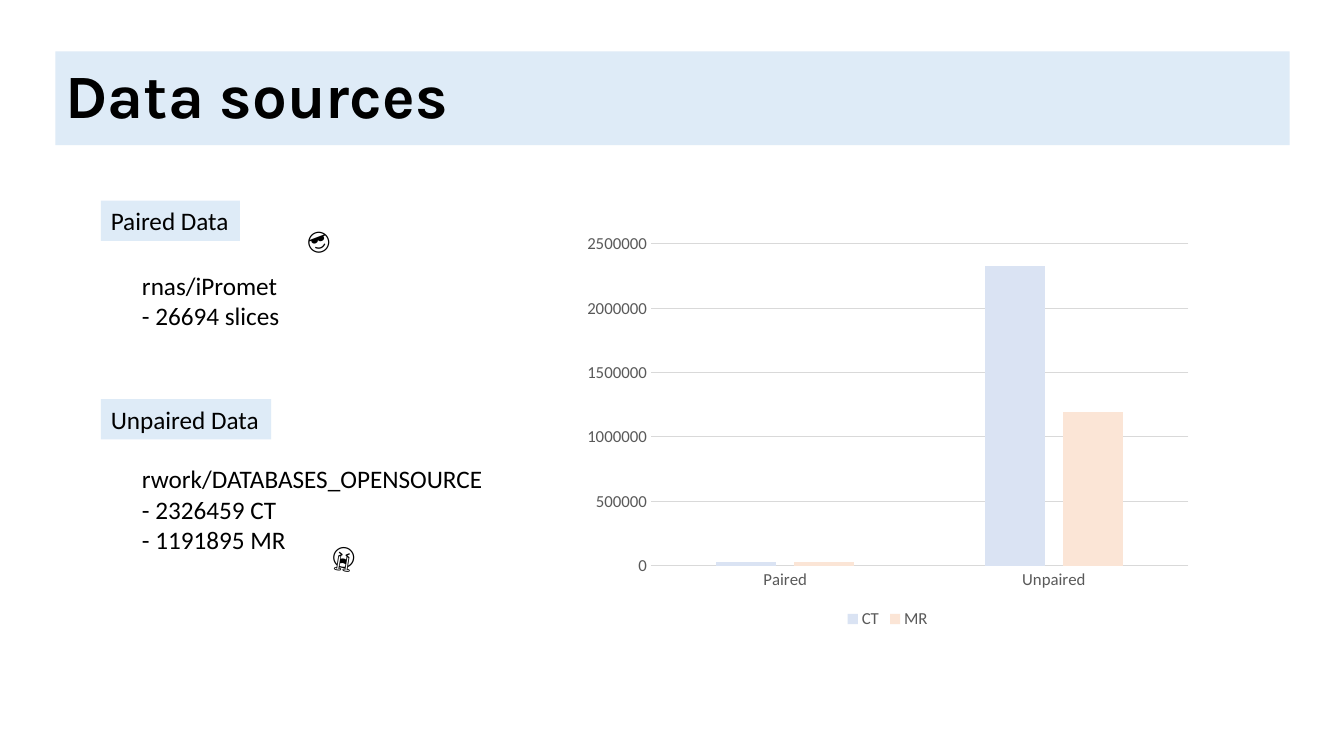
from pptx import Presentation
from pptx.chart.data import CategoryChartData
from pptx.dml.color import RGBColor
from pptx.enum.chart import XL_CHART_TYPE as Chart, XL_LEGEND_POSITION as Legend, XL_TICK_MARK as Tick
from pptx.enum.text import MSO_ANCHOR as Anchor, MSO_AUTO_SIZE as AutoSize, PP_ALIGN as Align
from pptx.util import Inches, Pt

PALE, GREY, GRID = "DEEBF7", "595959", "D9D9D9"


def rgb(value):
    return RGBColor.from_string(value)


def write(shape, text, size=18, font="Calibri", bold=False, fill=None, wrap=False,
          anchor=Anchor.TOP, fit=AutoSize.SHAPE_TO_FIT_TEXT, spacing=1.0):
    if fill:
        shape.fill.solid()
        shape.fill.fore_color.rgb = rgb(fill)
    tf = shape.text_frame
    tf.word_wrap, tf.vertical_anchor, tf.auto_size = wrap, anchor, fit
    for i, line in enumerate(text.split("\n")):
        p = tf.add_paragraph() if i else tf.paragraphs[0]
        p.alignment, p.line_spacing = Align.LEFT, spacing
        r = p.add_run()
        r.text = line
        r.font.size, r.font.name, r.font.bold = Pt(size), font, bold
        r.font.color.rgb = rgb("000000")


prs = Presentation()
prs.slide_width, prs.slide_height = Inches(13.33), Inches(7.5)
s = prs.slides.add_slide(prs.slide_layouts[5])

title = s.shapes.title
title.left, title.top, title.width, title.height = map(Inches, (0.55, 0.51, 12.24, 0.93))
write(title, "Data sources", size=44, font="Karla", bold=True, fill=PALE, wrap=True,
      anchor=Anchor.MIDDLE, fit=AutoSize.NONE, spacing=0.9)

HEAD, BODY = 1, 1.31
boxes = [
    ("Paired Data", HEAD, 1.99, 1.38, 0.4, PALE, 0),
    ("rnas/iPromet\n- 26694 slices", BODY, 2.63, 1.58, 0.71, None, 0),
    ("😎", 2.94, 2.18, 0.45, 0.4, None, 339.2),
    ("Unpaired Data", HEAD, 3.96, 1.69, 0.4, PALE, 0),
    ("rwork/DATABASES_OPENSOURCE\n- 2326459 CT\n- 1191895 MR", BODY, 4.55, 3.6, 1.01, None, 0),
    ("😭", 3.2, 5.32, 0.45, 0.4, None, 8.8),
]
for text, x, y, w, h, fill, angle in boxes:
    box = s.shapes.add_textbox(Inches(x), Inches(y), Inches(w), Inches(h))
    box.rotation = angle
    write(box, text, fill=fill)

data = CategoryChartData()
data.categories = ["Paired", "Unpaired"]
data.add_series("CT", (30000, 2330000))
data.add_series("MR", (30000, 1190000))
chart = s.shapes.add_chart(Chart.COLUMN_CLUSTERED, Inches(5.7), Inches(2.24),
                           Inches(6.21), Inches(4.04), data).chart
chart.has_title = False
chart.font.size, chart.font.name = Pt(12), "Calibri"
chart.font.color.rgb = rgb(GREY)
chart.has_legend = True
chart.legend.position = Legend.BOTTOM
chart.legend.include_in_layout = False

plot = chart.plots[0]
plot.gap_width, plot.overlap, plot.vary_by_categories = 219, -31, False
for series, color in zip(plot.series, ("DAE3F3", "FBE5D6")):
    series.format.fill.solid()
    series.format.fill.fore_color.rgb = rgb(color)

cats, vals = chart.category_axis, chart.value_axis
for axis in (cats, vals):
    axis.major_tick_mark = axis.minor_tick_mark = Tick.NONE
vals.minimum_scale, vals.maximum_scale, vals.major_unit = 0, 2500000, 500000
vals.tick_labels.number_format = "General"
vals.tick_labels.number_format_is_linked = False
vals.format.line.fill.background()
for line in (cats.format.line, vals.major_gridlines.format.line):
    line.width = Pt(0.75)
    line.color.rgb = rgb(GRID)

prs.save("out.pptx")
